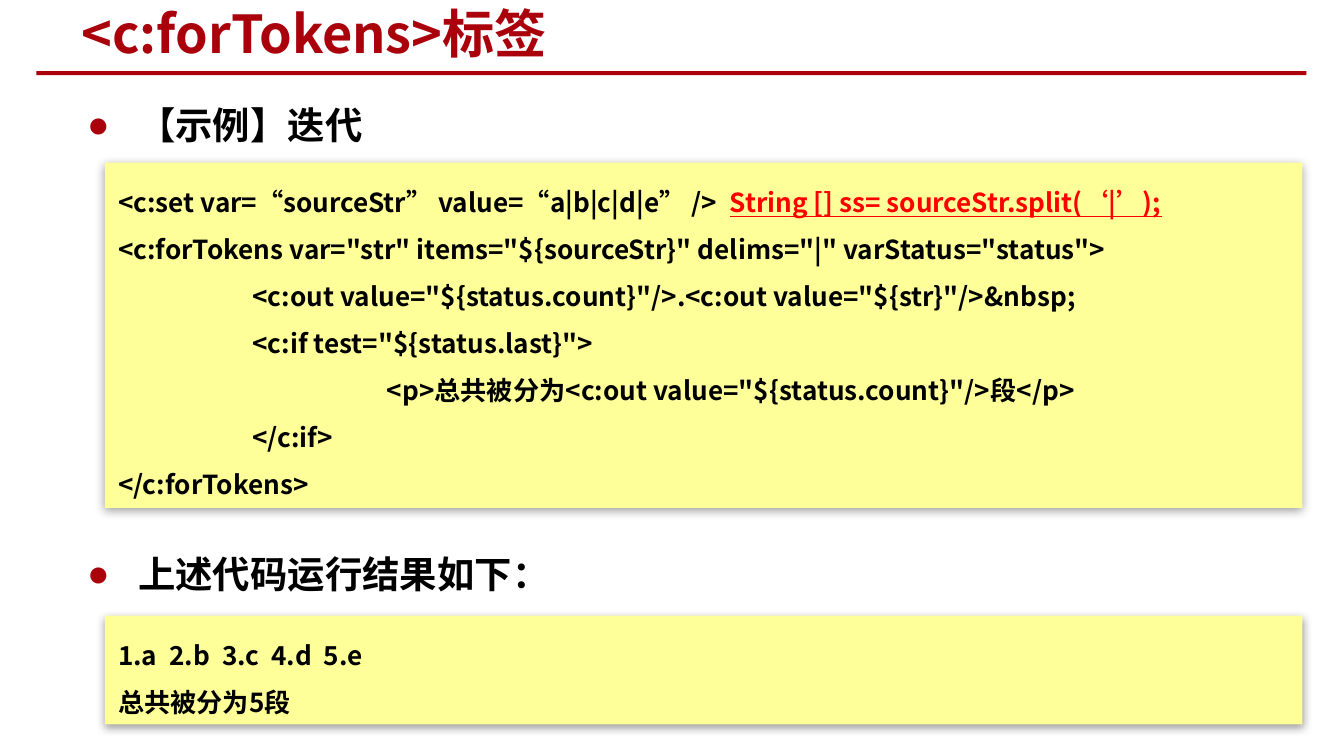
from lxml import etree
from pptx import Presentation
from pptx import util as u
from pptx.dml.color import RGBColor
from pptx.enum import shapes, text
from pptx.oxml import ns

FONT = "Noto Sans CJK SC"
RED, BLACK, YELLOW, ACCENT = "AA000B", "000000", "FFFF99", "FF0000"


def color(value):
    return RGBColor.from_string(value)


def add_xml(parent, tag, **attrs):
    return etree.SubElement(parent, ns.qn(tag), attrs)


def add_text(p, content, size=14, fill=BLACK, underline=False):
    r = p.add_run()
    r.text = content
    f = r.font
    f.name, f.size, f.bold = FONT, u.Pt(size), True
    f.color.rgb = color(fill)
    if underline:
        f.underline = True
    add_xml(r._r.get_or_add_rPr(), "a:ea", typeface=FONT)


class Deck:
    """Holds the presentation style and the current slide."""

    def __init__(self):
        self.prs = Presentation()
        self.prs.slide_width = u.Inches(10)
        self.prs.slide_height = u.Inches(10 * 9 / 16)
        self.s = self.prs.slides.add_slide(self.prs.slide_layouts[6])

    def rect(self, x, y, w, h, fill):
        sp = self.s.shapes.add_shape(
            shapes.MSO_SHAPE.RECTANGLE, *map(u.Inches, (x, y, w, h)))
        sp.fill.solid()
        sp.fill.fore_color.rgb = color(fill)
        sp.line.fill.background()
        sp.shadow.inherit = False
        return sp

    def text_box(self, x, y, w, h):
        tf = self.s.shapes.add_textbox(*map(u.Inches, (x, y, w, h))).text_frame
        tf.word_wrap = True
        tf.margin_top = tf.margin_bottom = 0
        return tf

    def title(self, content):
        tf = self.text_box(0.51, 0, 5.3, 0.45)
        tf.vertical_anchor = text.MSO_ANCHOR.MIDDLE
        p = tf.paragraphs[0]
        p.line_spacing = u.Pt(36)
        add_text(p, content, size=28, fill=RED)

    def bullet(self, y, content):
        p = self.text_box(0.55, y, 8.98, 0.34).paragraphs[0]
        pPr = p._p.get_or_add_pPr()
        indent = u.Inches(0.38)
        pPr.set("marL", str(indent))
        pPr.set("indent", str(-indent))
        add_xml(add_xml(pPr, "a:buClr"), "a:srgbClr", val=RED)
        add_xml(pPr, "a:buFont", typeface="Arial")
        add_xml(pPr, "a:buChar", char="●")
        p.line_spacing = u.Pt(24)
        add_text(p, content, size=20)

    def code_panel(self, y, h, lines):
        """Each line is a list of (text, format) runs."""
        sp = self.rect(0.78, y, 8.91, h, YELLOW)
        effects = sp._element.spPr.find(ns.qn("a:effectLst"))
        shadow = add_xml(effects, "a:outerShdw", blurRad=str(u.Pt(5)),
                         dist=str(u.Pt(1.6)), dir="5400000", rotWithShape="0")
        add_xml(add_xml(shadow, "a:srgbClr", val=BLACK), "a:alpha", val="38000")
        tf = sp.text_frame
        tf.word_wrap = True
        tf.margin_top = u.Inches(0.06)
        tf.vertical_anchor = text.MSO_ANCHOR.TOP
        for i, runs in enumerate(lines):
            p = tf.add_paragraph() if i else tf.paragraphs[0]
            tabs = add_xml(p._p.get_or_add_pPr(), "a:tabLst")
            for stop in (1, 2):
                add_xml(tabs, "a:tab", pos=str(u.Inches(stop)), algn="l")
            p.alignment = text.PP_ALIGN.LEFT
            p.line_spacing = u.Pt(25.2)
            for content, style in runs:
                add_text(p, content, **style)


def plain(*lines):
    return [[(line, {})] for line in lines]


def main():
    deck = Deck()

    # Title and rule
    deck.rect(0.27, 0.53, 9.45, 0.03, RED)
    deck.title("<c:forTokens>标签")

    # Example code
    deck.bullet(0.76, "【示例】迭代")
    first = [('<c:set var=“sourceStr” value=“a|b|c|d|e” />  ', {}),
             ("String [] ss= sourceStr.split(‘|’);",
              {"fill": ACCENT, "underline": True})]
    deck.code_panel(1.21, 2.57, [first] + plain(
        '<c:forTokens var="str" items="${sourceStr}" delims="|" varStatus="status">',
        '\t<c:out value="${status.count}"/>.<c:out value="${str}"/>&nbsp;',
        '\t<c:if test="${status.last}">',
        ' \t\t<p>总共被分为<c:out value="${status.count}"/>段</p>',
        '\t</c:if>',
        '</c:forTokens>'))

    # Output of the code
    deck.bullet(4.1, "上述代码运行结果如下：")
    deck.code_panel(4.58, 0.81, plain("1.a  2.b  3.c  4.d  5.e", "总共被分为5段"))

    deck.prs.save("out.pptx")


if __name__ == "__main__":
    main()
